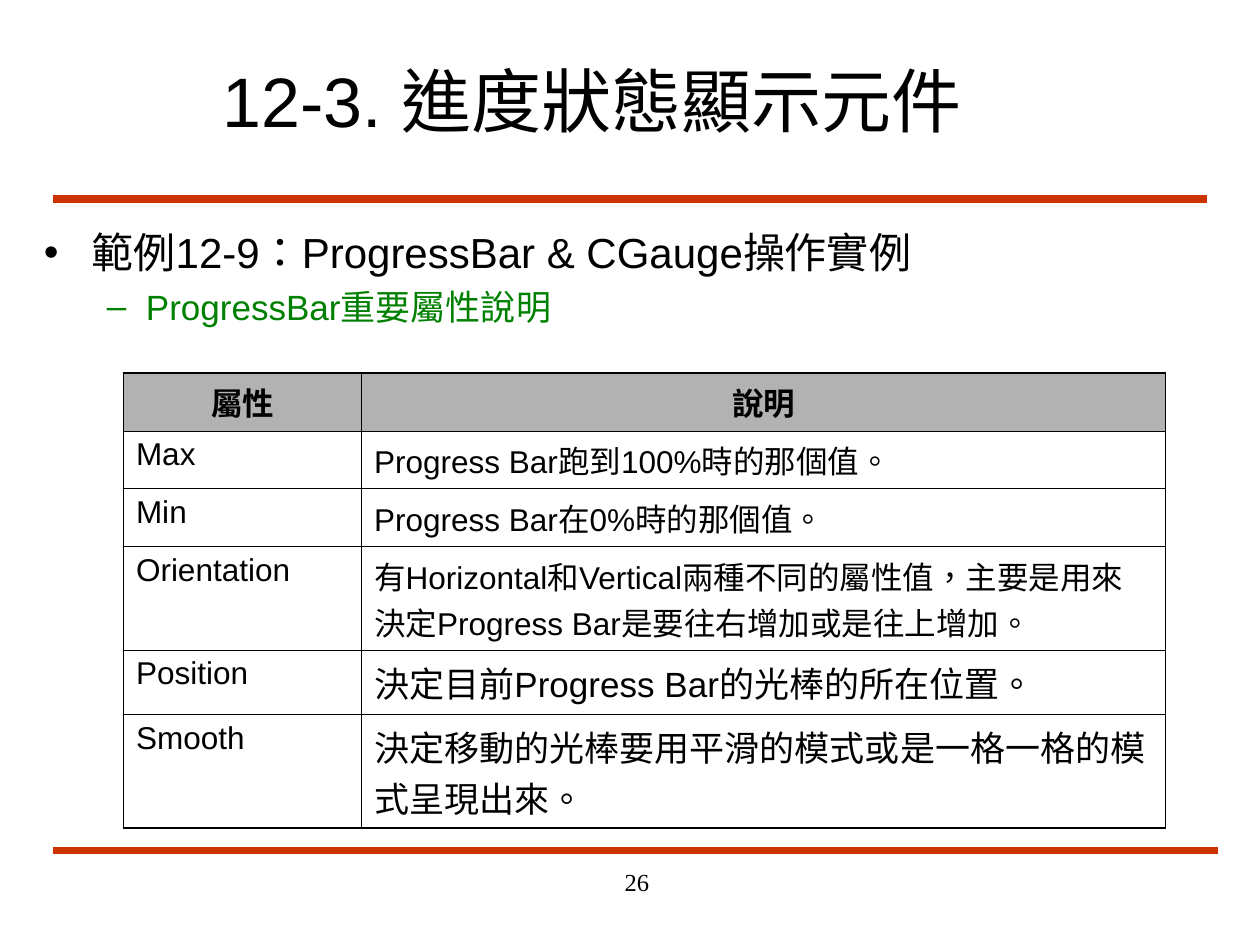
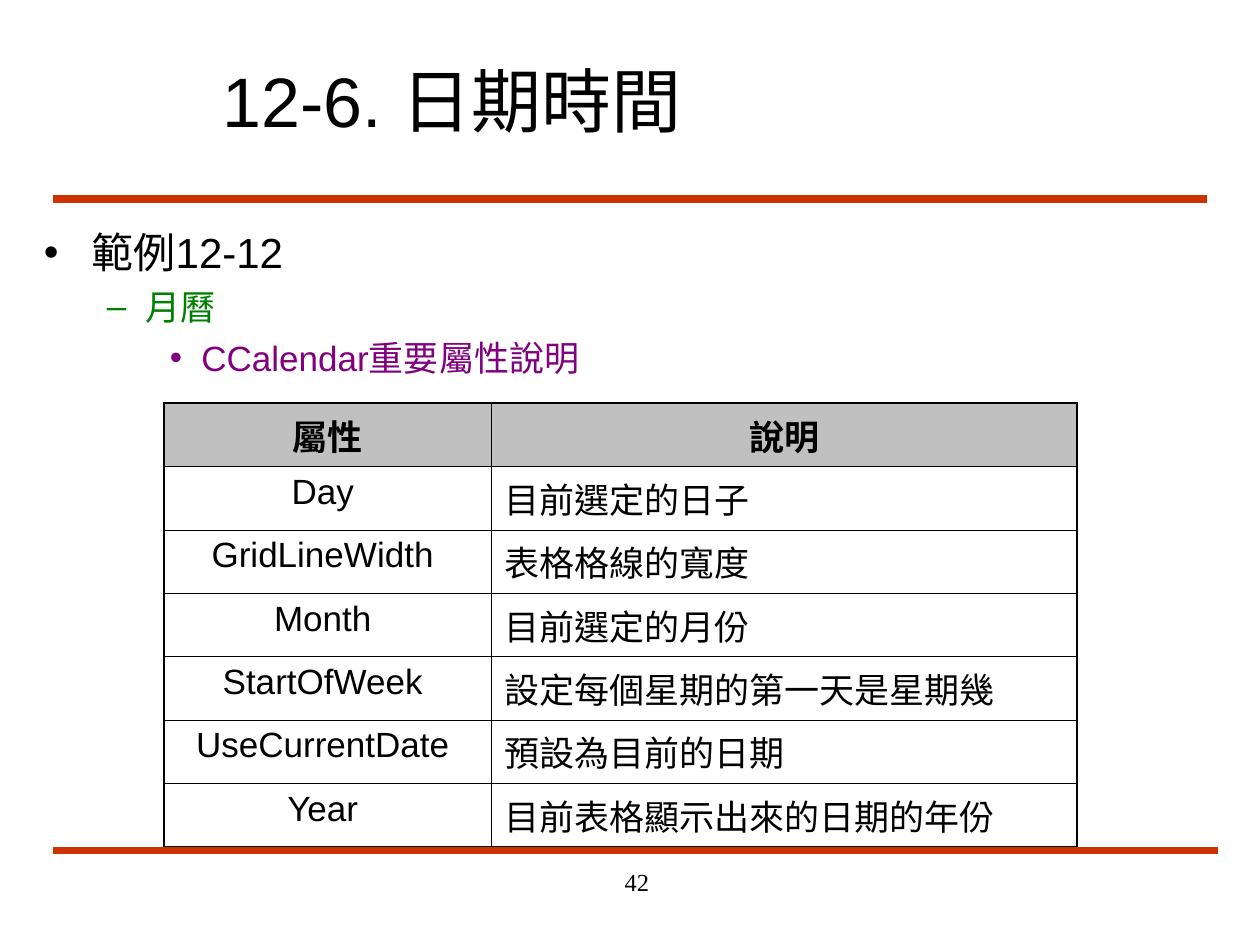
"""Build two slides that list the properties of visual components in tables."""
from lxml import etree
from pptx import Presentation
from pptx.dml.color import RGBColor
from pptx.enum.lang import MSO_LANGUAGE_ID
from pptx.enum.shapes import MSO_CONNECTOR
from pptx.enum.text import MSO_ANCHOR, PP_ALIGN
from pptx.oxml.ns import qn
from pptx.util import Inches, Pt

STRAIGHT = MSO_CONNECTOR.STRAIGHT
MIDDLE, TOP = MSO_ANCHOR.MIDDLE, MSO_ANCHOR.TOP
LEFT, CENTER, RIGHT = PP_ALIGN.LEFT, PP_ALIGN.CENTER, PP_ALIGN.RIGHT
CHINESE = MSO_LANGUAGE_ID.TRADITIONAL_CHINESE

COLORS = {
    "rule": "CC3300",
    "text": "000000",
    "topic": "008000",
    "detail": "800080",
    "header_dark": "B2B2B2",
    "header_light": "C0C0C0",
}
RULES = [(1.58, 9.58), (6.75, 9.67)]
LEVELS = [
    {"bullet": "•", "indent": 0.38, "hang": 0.38, "size": 24, "color": "text"},
    {"bullet": "–", "indent": 0.81, "hang": 0.31, "size": 20, "color": "topic"},
    {"bullet": "•", "indent": 1.25, "hang": 0.25, "size": 20, "color": "detail"},
]
THIN, THICK = 0.45, 1.08

SLIDES = [
    {
        "title": "12-3. 進度狀態顯示元件",
        "number": "26",
        "outline": ["範例12-9：ProgressBar & CGauge操作實例", "ProgressBar重要屬性說明"],
        "place": (0.98, 2.96),
        "columns": [1.89, 6.38],
        "heights": [0.46, 0.46, 0.46, 0.82, 0.51, 0.9],
        "header": "header_dark",
        "name_align": LEFT,
        "name_size": 18,
        "note_sizes": [18, 18, 18, 18, 20, 20],
        "rows": [
            ("屬性", "說明"),
            ("Max", "Progress Bar跑到100%時的那個值。"),
            ("Min", "Progress Bar在0%時的那個值。"),
            ("Orientation", "有Horizontal和Vertical兩種不同的屬性值，主要是用來決定Progress Bar是要往右增加或是往上增加。"),
            ("Position", "決定目前Progress Bar的光棒的所在位置。"),
            ("Smooth", "決定移動的光棒要用平滑的模式或是一格一格的模式呈現出來。"),
        ],
    },
    {
        "title": "12-6. 日期時間",
        "number": "42",
        "outline": ["範例12-12", "月曆", "CCalendar重要屬性說明"],
        "place": (1.3, 3.2),
        "columns": [2.6, 4.65],
        "heights": [3.52 / 7] * 7,
        "header": "header_light",
        "name_align": CENTER,
        "name_size": 20,
        "note_sizes": [20] * 7,
        "rows": [
            ("屬性", "說明"),
            ("Day ", "目前選定的日子"),
            ("GridLineWidth ", "表格格線的寬度"),
            ("Month ", "目前選定的月份"),
            ("StartOfWeek ", "設定每個星期的第一天是星期幾"),
            ("UseCurrentDate ", "預設為目前的日期"),
            ("Year ", "目前表格顯示出來的日期的年份"),
        ],
    },
]


def add_span(para, text, size, color="text", face="Arial", bold=False):
    span = para.add_run()
    span.text = text
    span.font.name = face
    span.font.size = Pt(size)
    span.font.bold = bold
    span.font.language_id = CHINESE
    span.font.color.rgb = RGBColor.from_string(COLORS[color])


def add_box(page, left, top, width, height, anchor=TOP):
    box = page.shapes.add_textbox(Inches(left), Inches(top), Inches(width), Inches(height))
    box.text_frame.word_wrap = True
    box.text_frame.vertical_anchor = anchor
    return box.text_frame


deck = Presentation()
deck.slide_width = Inches(10)
deck.slide_height = Inches(7.5)

for content in SLIDES:
    page = deck.slides.add_slide(deck.slide_layouts[6])

    for y, right in RULES:
        rule = page.shapes.add_connector(STRAIGHT, Inches(0.42), Inches(y), Inches(right), Inches(y))
        rule.line.color.rgb = RGBColor.from_string(COLORS["rule"])
        rule.line.width = Pt(4.5)
        etree.SubElement(rule._element.spPr, qn("a:effectLst"))

    title = add_box(page, 1.67, 0.33, 7.58, 0.92, MIDDLE)
    add_span(title.paragraphs[0], content["title"], 40)

    outline = add_box(page, 0.25, 1.75, 9.5, 4.83)
    for depth, (text, level) in enumerate(zip(content["outline"], LEVELS)):
        para = outline.add_paragraph() if depth else outline.paragraphs[0]
        para.level = depth
        if depth:
            para.space_before = Pt(5)
        props = para._p.get_or_add_pPr()
        props.set("marL", str(Inches(level["indent"])))
        props.set("indent", str(-Inches(level["hang"])))
        bullet_color = etree.SubElement(props, qn("a:buClr"))
        etree.SubElement(bullet_color, qn("a:srgbClr"), val=COLORS[level["color"]])
        etree.SubElement(props, qn("a:buFont"), typeface="Arial")
        etree.SubElement(props, qn("a:buChar"), char=level["bullet"])
        add_span(para, text, level["size"], level["color"])

    rows, columns = content["rows"], content["columns"]
    left, top = content["place"]
    frame = page.shapes.add_table(len(rows), len(columns), Inches(left), Inches(top),
                                  Inches(sum(columns)), Inches(sum(content["heights"])))
    table = frame.table
    table.first_row = False
    table.horz_banding = False
    for column, width in zip(table.columns, columns):
        column.width = Inches(width)
    for r, texts in enumerate(rows):
        table.rows[r].height = Inches(content["heights"][r])
        for c, text in enumerate(texts):
            cell = table.cell(r, c)
            para = cell.text_frame.paragraphs[0]
            para.alignment = CENTER if r == 0 else LEFT if c else content["name_align"]
            size = content["note_sizes"][r] if c else content["name_size"]
            add_span(para, text, size, bold=r == 0)
            outer_edges = {"lnL": c == 0, "lnR": c == 1, "lnT": r == 0, "lnB": r == len(rows) - 1}
            props = cell._tc.get_or_add_tcPr()
            for edge, outer in outer_edges.items():
                border = etree.SubElement(props, qn(f"a:{edge}"), w=str(Pt(THICK if outer else THIN)))
                paint = etree.SubElement(border, qn("a:solidFill"))
                etree.SubElement(paint, qn("a:srgbClr"), val=COLORS["text"])
            if r == 0:
                cell.fill.solid()
                cell.fill.fore_color.rgb = RGBColor.from_string(COLORS[content["header"]])
            else:
                cell.fill.background()

    number = add_box(page, 3.17, 6.83, 2.08, 0.5).paragraphs[0]
    number.alignment = RIGHT
    add_span(number, content["number"], 14, face="Times New Roman")

deck.save("out.pptx")
